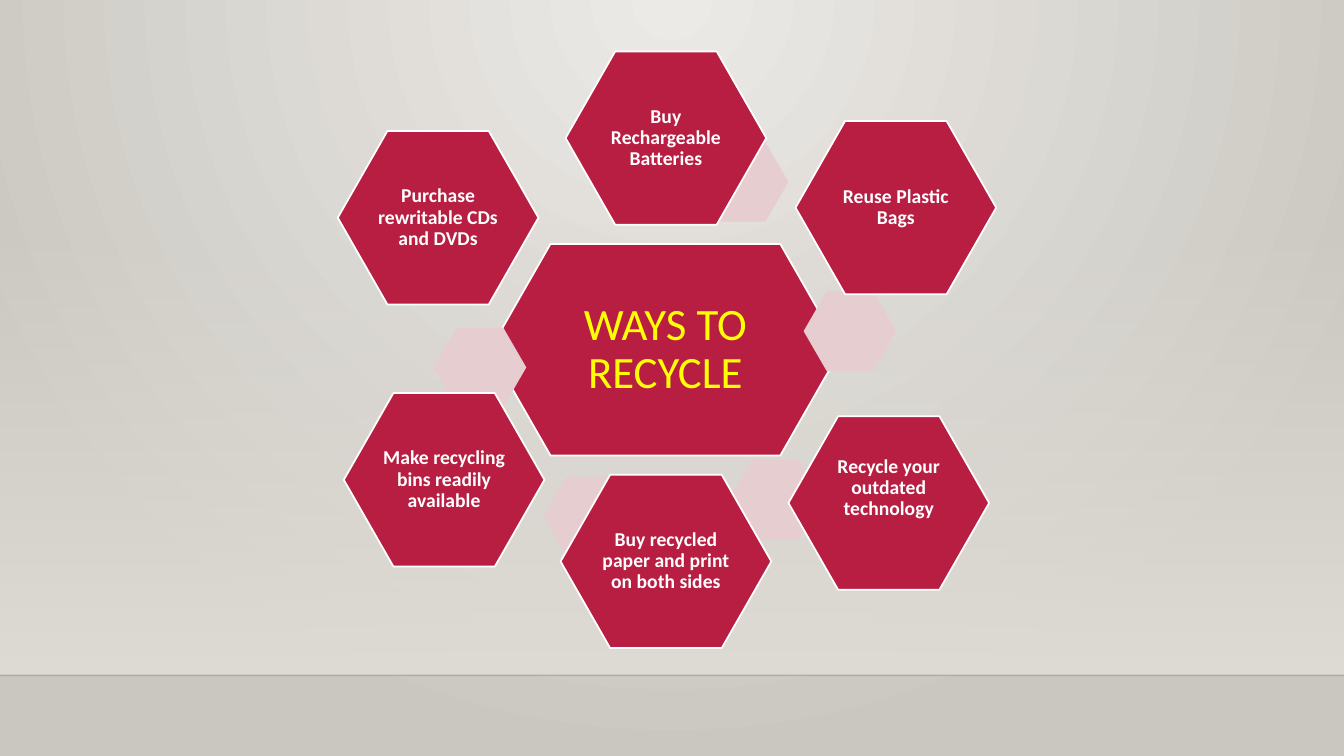
"""Build a slide of hexagons showing ways to recycle."""
from lxml import etree
from pptx import Presentation
from pptx.dml.color import RGBColor
from pptx.enum import shapes, text
from pptx.oxml import ns
from pptx.util import Inches, Pt

CRIMSON = RGBColor(0xB7, 0x1E, 0x42)
PINK = RGBColor(0xE6, 0xCD, 0xCF)
WHITE = RGBColor(0xFF, 0xFF, 0xFF)
YELLOW = RGBColor(0xFF, 0xFF, 0x00)
GLOW = RGBColor(0xEC, 0xEA, 0xE7)
STONE = RGBColor(0xCA, 0xC7, 0xC1)
WALL = RGBColor(0xDF, 0xDB, 0xD5)
EDGE = RGBColor(0x00, 0x00, 0x01)
FLOOR_TOP = 6.7
CENTER = (4.86, 2.42, 3.48, 2.1, "WAYS TO RECYCLE")
SATELLITES = [
    ((6.9, 1.41), (5.61, 0.51, 1.99, 1.72, "Buy Rechargeable Batteries")),
    ((7.97, 2.89), (7.89, 1.2, 1.99, 1.72, "Reuse Plastic Bags")),
    ((7.23, 4.56), (7.82, 4.13, 1.99, 1.72, "Recycle your outdated technology")),
    ((5.39, 4.73), (5.56, 4.71, 2.09, 1.72, "Buy recycled paper and print on both sides")),
    ((4.3, 3.25), (3.41, 3.9, 1.99, 1.72, "Make recycling bins readily available")),
    (None, (3.35, 1.3, 1.99, 1.72, "Purchase rewritable CDs and DVDs")),
]
RAISED_TEXT = "Recycle your outdated technology"

presentation = Presentation()
presentation.slide_width = Inches(13.33)
presentation.slide_height = Inches(7.5)
slide = presentation.slides.add_slide(presentation.slide_layouts[6])


def set_gradient(fill, colors):
    fill.gradient()
    for position, (stop, color) in enumerate(zip(fill.gradient_stops, colors)):
        stop.position = position
        stop.color.rgb = color


def add_hexagon(left, top, width, height, color, adjustment):
    hexagon = slide.shapes.add_shape(
        shapes.MSO_SHAPE.HEXAGON, Inches(left), Inches(top), Inches(width), Inches(height))
    hexagon.adjustments[0] = adjustment
    hexagon.shadow.inherit = False
    hexagon.fill.solid()
    hexagon.fill.fore_color.rgb = color
    hexagon.line.fill.background()
    return hexagon


set_gradient(slide.background.fill, (GLOW, STONE))
gradient = slide.element.xpath(".//p:bg//a:gradFill")[0]
gradient.remove(gradient.find(ns.qn("a:lin")))
circle = etree.SubElement(gradient, ns.qn("a:path"), {"path": "circle"})
etree.SubElement(circle, ns.qn("a:fillToRect"), {"l": "43000", "t": "0", "r": "43000", "b": "100000"})

wall = slide.shapes.add_shape(
    shapes.MSO_SHAPE.RECTANGLE, 0, Inches(2.21), presentation.slide_width, Inches(FLOOR_TOP - 2.21))
wall.shadow.inherit = False
wall.line.fill.background()
set_gradient(wall.fill, (WALL, WALL))
wall.fill.gradient_angle = 270
wall_color = wall.element.xpath(".//a:gs[1]/a:srgbClr")[0]
etree.SubElement(wall_color, ns.qn("a:alpha"), {"val": "0"})

edge = slide.shapes.add_connector(
    shapes.MSO_CONNECTOR.STRAIGHT, 0, Inches(FLOOR_TOP), presentation.slide_width, Inches(FLOOR_TOP))
edge.line.color.rgb = EDGE
edge.line.width = Pt(1)
edge_color = edge.element.xpath(".//a:ln//a:srgbClr")[0]
etree.SubElement(edge_color, ns.qn("a:alpha"), {"val": "20000"})
etree.SubElement(edge.element.spPr, ns.qn("a:effectLst"))

for accent, (left, top, width, height, label) in [(None, CENTER)] + SATELLITES:
    if accent:
        add_hexagon(*accent, 0.92, 0.79, PINK, 0.289)
    hexagon = add_hexagon(left, top, width, height, CRIMSON, 0.286)
    hexagon.line.color.rgb = WHITE
    hexagon.line.width = Pt(1.25)

    is_center = label == CENTER[-1]
    inset = Inches(0.04 if is_center else 0.02)
    frame = hexagon.text_frame
    frame.text = label
    frame.word_wrap = True
    frame.vertical_anchor = text.MSO_ANCHOR.MIDDLE
    frame.margin_left = frame.margin_right = frame.margin_top = inset
    frame.margin_bottom = Inches(0.31) if label == RAISED_TEXT else inset
    paragraph = frame.paragraphs[0]
    paragraph.alignment = text.PP_ALIGN.CENTER
    paragraph.line_spacing = 0.9
    font = paragraph.runs[0].font
    font.name = "Calibri"
    font.size = Pt(32 if is_center else 14)
    font.bold = not is_center
    font.color.rgb = YELLOW if is_center else WHITE

presentation.save("out.pptx")
